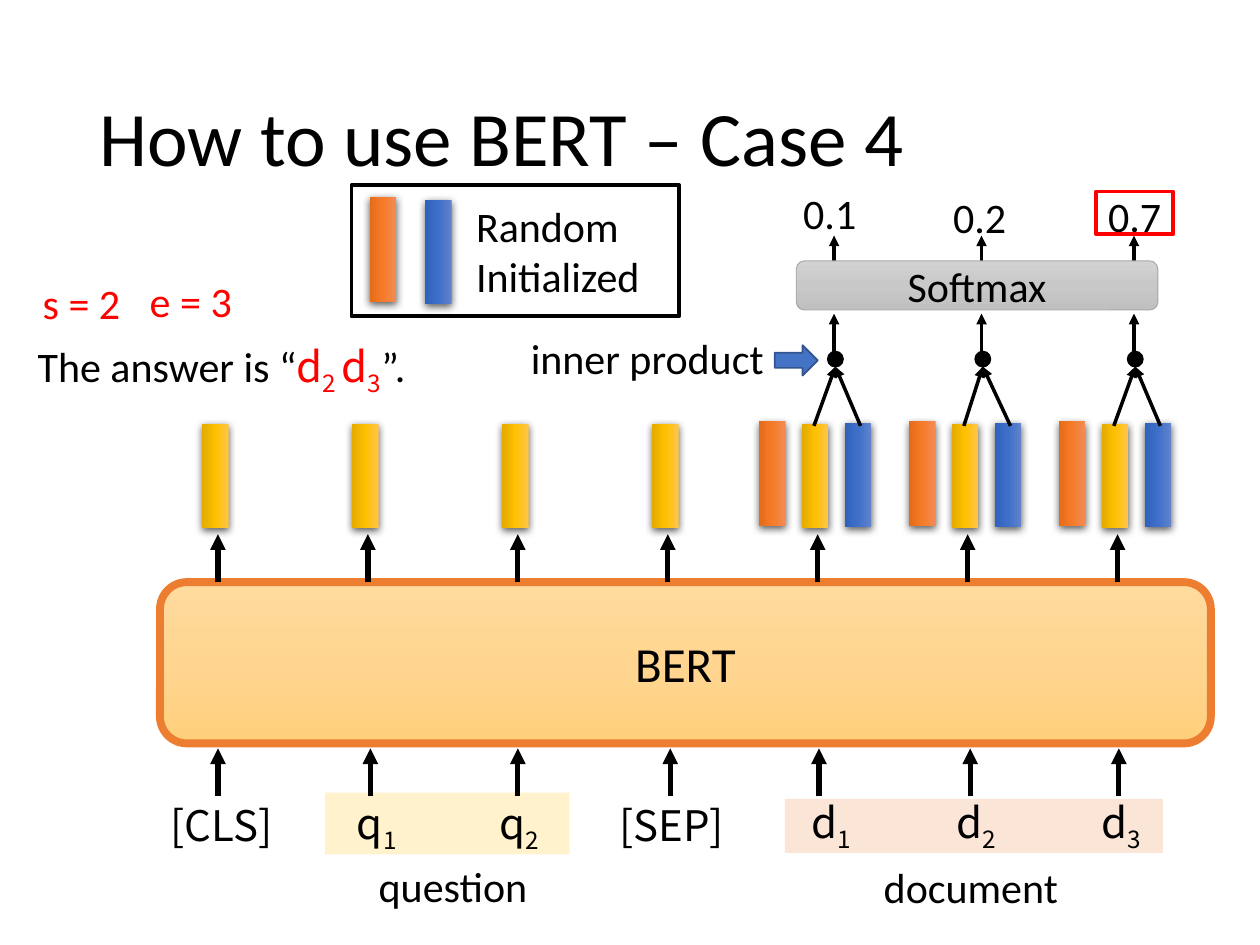
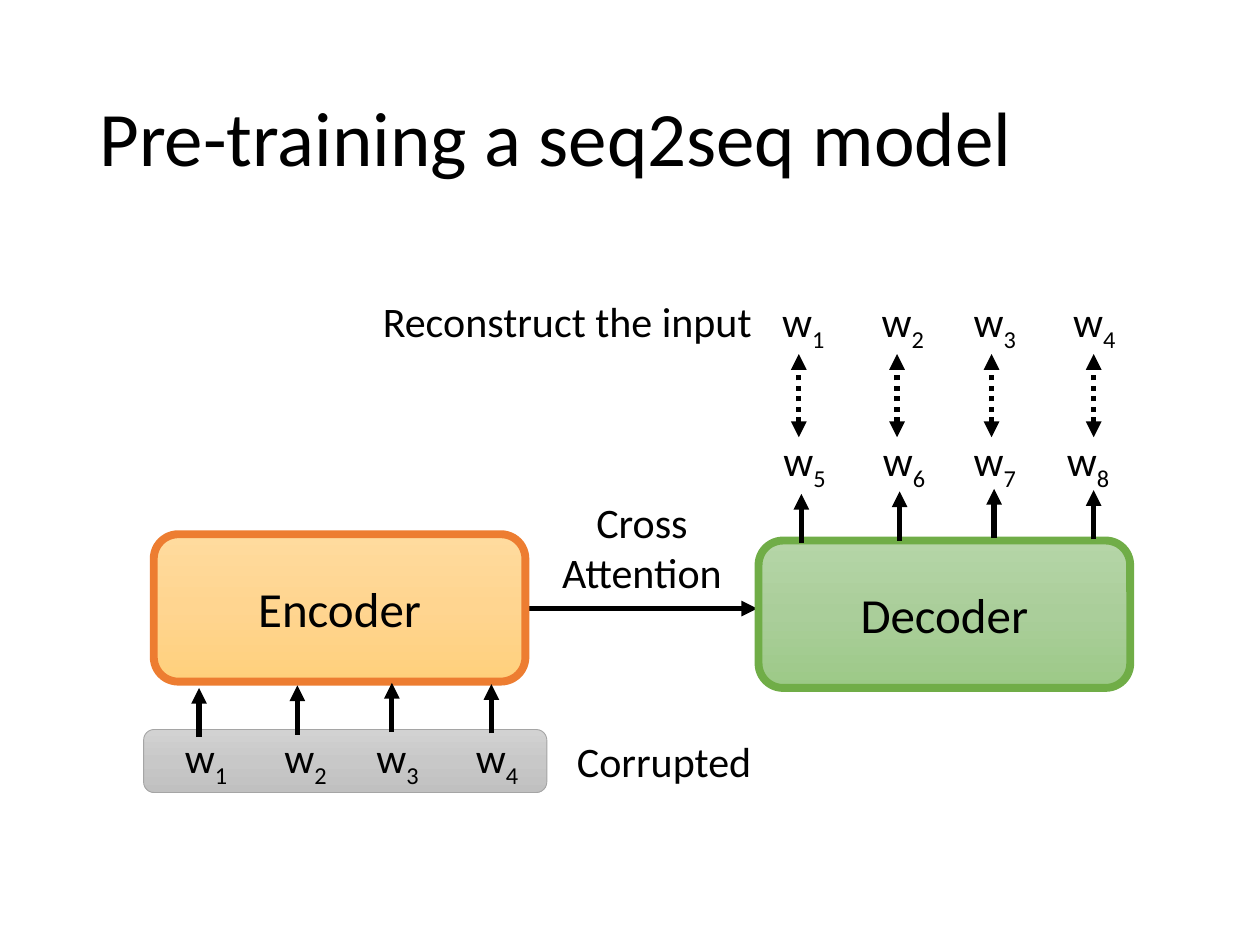
"""Build two slides: answer extraction with BERT, and seq2seq pre-training."""
from dataclasses import dataclass
from itertools import count

from lxml import etree
from pptx import Presentation
from pptx.dml.color import RGBColor
from pptx.enum.shapes import MSO_CONNECTOR, MSO_SHAPE
from pptx.enum.text import MSO_ANCHOR, MSO_AUTO_SIZE, PP_ALIGN
from pptx.oxml.ns import qn
from pptx.util import Inches, Pt

RECT, ROUNDED = MSO_SHAPE.RECTANGLE, MSO_SHAPE.ROUNDED_RECTANGLE
ELLIPSE, RIGHT_ARROW = MSO_SHAPE.OVAL, MSO_SHAPE.RIGHT_ARROW
STRAIGHT = MSO_CONNECTOR.STRAIGHT
LEFT, CENTER, RIGHT = PP_ALIGN.LEFT, PP_ALIGN.CENTER, PP_ALIGN.RIGHT
MIDDLE, GROW = MSO_ANCHOR.MIDDLE, MSO_AUTO_SIZE.SHAPE_TO_FIT_TEXT
CALIBRI, NOTO = "Calibri", "Noto Sans CJK SC"

COLORS = {
    "black": "000000", "red": "FF0000", "question": "FFF2CC", "document": "FBE5D6",
    "orange": "ED7D31", "green": "70AD47", "gray": "A5A5A5",
    "blue": "4472C4", "dark blue": "325491",
}
GRADIENTS = {
    "orange box": ("FFDB9E", "FFD590", "FFD07C"),
    "green box": ("B5D5A7", "AACE9A", "9CC987"),
    "gray box": ("D2D2D2", "C8C8C8", "C0C0C0"),
    "yellow bar": ("FFC64B", "FFC000", "E3AB00"),
    "orange bar": ("F18C57", "F67B28", "E56C19"),
    "blue bar": ("6183CB", "3E70CA", "3062BB"),
}
BAR_LENGTH, BAR_THICKNESS = 0.83, 0.21


@dataclass(frozen=True)
class Span:
    text: str
    font: str = CALIBRI
    color: str = "black"
    subscript: bool = False


@dataclass(frozen=True)
class Label:
    spans: tuple[Span, ...]
    left: float
    top: float
    width: float
    height: float = 0.5
    align: PP_ALIGN = CENTER


@dataclass(frozen=True)
class Block:
    kind: MSO_SHAPE
    left: float
    top: float
    width: float
    height: float
    fill: str = ""
    line: str = ""
    weight: float = 1
    text: str = ""
    size: int = 28


@dataclass(frozen=True)
class Arrow:
    start: tuple[float, float]
    end: tuple[float, float]
    weight: float = 3
    dotted_double: bool = False


@dataclass(frozen=True)
class Token:
    letter: str
    index: str
    left: float
    top: float
    arrow_x: float


@dataclass(frozen=True)
class Candidate:
    column: int
    dot_x: float
    score: str
    score_left: float
    score_top: float


@dataclass(frozen=True)
class Step:
    arrow_x: float
    foot: float
    word_left: float
    guess_left: float
    match_x: float


TOKENS = (
    Token("[CLS]", "", 1.15, 6.3, 1.73), Token("q", "1", 2.38, 6.28, 2.94),
    Token("q", "2", 3.51, 6.28, 4.11), Token("[SEP]", "", 4.72, 6.3, 5.32),
    Token("d", "1", 5.99, 6.27, 6.5), Token("d", "2", 7.14, 6.27, 7.7),
    Token("d", "3", 8.29, 6.27, 8.88),
)
CANDIDATES = (
    Candidate(4, 6.63, "0.1", 6.09, 1.44),
    Candidate(5, 7.8, "0.2", 7.28, 1.47),
    Candidate(6, 9.01, "0.7", 8.51, 1.46),
)
STEPS = (
    Step(1.58, 5.85, 1.06, 5.81, 6.34), Step(2.36, 5.83, 1.85, 6.6, 7.12),
    Step(3.11, 5.81, 2.58, 7.32, 7.87), Step(3.9, 5.82, 3.37, 8.06, 8.68),
)


def rgb(name: str) -> RGBColor:
    """Return the named palette colour."""
    return RGBColor.from_string(COLORS[name])


def set_gradient(shape, name: str) -> None:
    """Fill a shape with a three-stop vertical gradient."""
    shape.fill.gradient()
    shape.fill.gradient_angle = 270
    stops = shape.element.spPr.find(qn("a:gradFill")).find(qn("a:gsLst"))
    for stop in list(stops):
        stops.remove(stop)
    for position, color in zip((0, 50000, 100000), GRADIENTS[name]):
        stop = etree.SubElement(stops, qn("a:gs"), pos=str(position))
        etree.SubElement(stop, qn("a:srgbClr"), val=color)


def write_spans(para, spans: tuple[Span, ...], size: int) -> None:
    """Write spans into a paragraph, with shared formatting on the paragraph."""
    para.font.size = Pt(size)
    same_font = len({part.font for part in spans}) == 1
    same_color = len({part.color for part in spans}) == 1
    if same_font:
        para.font.name = spans[0].font
    if same_color:
        para.font.color.rgb = rgb(spans[0].color)
    for part in spans:
        span = para.add_run()
        span.text = part.text
        if not same_font:
            span.font.name = part.font
        if not same_color:
            span.font.color.rgb = rgb(part.color)
        if part.subscript:
            span.font._element.set("baseline", "-25000")


def add_label(page, label: Label, size: int = 24):
    """Add a wrapping text box and return it."""
    box = page.shapes.add_textbox(*map(Inches, (label.left, label.top, label.width, label.height)))
    frame = box.text_frame
    frame.word_wrap = True
    frame.auto_size = GROW
    para = frame.paragraphs[0]
    para.alignment = label.align
    write_spans(para, label.spans, size)
    return box


def add_block(page, block: Block):
    """Add a flat or gradient shape with optional text and return it."""
    shape = page.shapes.add_shape(
        block.kind, *map(Inches, (block.left, block.top, block.width, block.height)))
    shape.shadow.inherit = False
    if block.fill in GRADIENTS:
        set_gradient(shape, block.fill)
    elif block.fill:
        shape.fill.solid()
        shape.fill.fore_color.rgb = rgb(block.fill)
    else:
        shape.fill.background()
    if block.line:
        shape.line.color.rgb = rgb(block.line)
        shape.line.width = Pt(block.weight)
    else:
        shape.line.fill.background()
    if block.text:
        shape.text_frame.vertical_anchor = MIDDLE
        para = shape.text_frame.paragraphs[0]
        para.alignment = CENTER
        write_spans(para, (Span(block.text),), block.size)
    return shape


def add_bar(page, center_x: float, center_y: float, fill: str) -> None:
    """Add an upright vector bar with a soft shadow."""
    shape = add_block(page, Block(RECT, center_x - BAR_LENGTH / 2, center_y - BAR_THICKNESS / 2,
                                  BAR_LENGTH, BAR_THICKNESS, fill))
    shape.rotation = 90
    effects = shape.element.spPr.find(qn("a:effectLst"))
    shadow = etree.SubElement(effects, qn("a:outerShdw"), blurRad=str(Pt(4.5)),
                              dist=str(Pt(1.5)), dir="5400000", rotWithShape="0")
    color = etree.SubElement(shadow, qn("a:srgbClr"), val=COLORS["black"])
    etree.SubElement(color, qn("a:alpha"), val="63000")


def add_arrow(page, arrow: Arrow) -> None:
    """Add a black arrow, dotted with two heads on request."""
    connector = page.shapes.add_connector(STRAIGHT, *map(Inches, arrow.start + arrow.end))
    connector.line.color.rgb = rgb("black")
    connector.line.width = Pt(arrow.weight)
    properties = connector.element.spPr
    line = properties.find(qn("a:ln"))
    if arrow.dotted_double:
        etree.SubElement(line, qn("a:prstDash"), val="sysDot")
        etree.SubElement(line, qn("a:headEnd"), type="triangle")
    etree.SubElement(line, qn("a:tailEnd"), type="triangle")
    etree.SubElement(properties, qn("a:effectLst"))


def indexed(letter: str, index: str, font: str = CALIBRI, color: str = "black") -> tuple[Span, ...]:
    """Return a letter followed by its subscript, if any."""
    base = (Span(letter, font, color),)
    return base + (Span(index, font, color, True),) if index else base


def add_page(deck, title: str):
    """Add a blank page with the shared title style."""
    page = deck.slides.add_slide(deck.slide_layouts[6])
    box = add_label(page, Label((Span(title),), 0.69, 0.4, 8.62, 1.45, LEFT), 44)
    box.text_frame.auto_size = MSO_AUTO_SIZE.NONE
    box.text_frame.vertical_anchor = MIDDLE
    box.text_frame.paragraphs[0].line_spacing = 0.9
    return page


def add_candidate(page, item: Candidate, column_x: float) -> None:
    """Add the start and end vectors, inner product and score of one document token."""
    add_bar(page, column_x - 0.36, 3.76, "orange bar")
    add_bar(page, column_x + 0.32, 3.77, "blue bar")
    for foot_x in (column_x + 0.34, column_x - 0.03):
        add_arrow(page, Arrow((foot_x, 3.38), (item.dot_x, 2.91), 2))
    add_block(page, Block(ELLIPSE, item.dot_x - 0.06, 2.79, 0.12, 0.12, "black", "black"))
    for foot, head in ((2.8, 2.49), (2.17, 1.87)):
        add_arrow(page, Arrow((item.dot_x - 0.01, foot), (item.dot_x - 0.01, head), 2))
    add_label(page, Label((Span(item.score),), item.score_left, item.score_top, 0.99))


def build_bert(deck) -> None:
    """Build the answer extraction page."""
    page = add_page(deck, "How to use BERT – Case 4")
    add_block(page, Block(RECT, 2.58, 6.29, 1.94, 0.49, "question"))
    add_block(page, Block(RECT, 6.23, 6.34, 3, 0.43, "document"))
    add_block(page, Block(ROUNDED, 1.27, 4.62, 8.34, 1.28, "orange box", "orange", 4.5, "BERT"))
    columns = [1.73 + 1.19 * column for column in range(len(TOKENS))]
    for token, column_x in zip(TOKENS, columns):
        spans = indexed(token.letter, token.index, NOTO)
        add_label(page, Label(spans, token.left, token.top, 1.22))
        add_arrow(page, Arrow((token.arrow_x, 6.32), (token.arrow_x, 5.94)))
        add_arrow(page, Arrow((column_x, 4.62), (column_x, 4.24)))
        add_bar(page, column_x - 0.02, 3.78, "yellow bar")
    for item in CANDIDATES:
        add_candidate(page, item, columns[item.column])
    add_block(page, Block(RIGHT_ARROW, 6.15, 2.74, 0.34, 0.24, "blue", "dark blue"))
    add_block(page, Block(ROUNDED, 6.32, 2.07, 2.87, 0.39, "gray box", "gray", 0.5, "Softmax", 24))
    add_block(page, Block(RECT, 8.7, 1.52, 0.61, 0.34, line="red", weight=2.25))
    add_block(page, Block(RECT, 2.79, 1.47, 2.6, 1.04, line="black", weight=2.25))
    add_bar(page, 3.04, 1.98, "orange bar")
    add_bar(page, 3.48, 2, "blue bar")
    answer = (Span("The answer is “"), *indexed("d", "2 ", NOTO, "red"),
              *indexed("d", "3", NOTO, "red"), Span("”."))
    for label in (
        Label((Span("question"),), 2.64, 6.78, 1.91),
        Label((Span("document"),), 6.75, 6.79, 1.91),
        Label((Span("inner product"),), 3.96, 2.59, 2.2, align=RIGHT),
        Label((Span("Random Initialized"),), 3.68, 1.54, 1.9, 0.91, LEFT),
        Label((Span("s = 2", color="red"),), 0.24, 2.15, 1.03, align=LEFT),
        Label((Span("e = 3", color="red"),), 1.09, 2.14, 1.03, align=LEFT),
        Label(answer, 0.2, 2.65, 3.42, align=LEFT),
    ):
        add_label(page, label)


def build_seq2seq(deck) -> None:
    """Build the encoder and decoder page."""
    page = add_page(deck, "Pre-training a seq2seq model")
    add_block(page, Block(ROUNDED, 1.14, 5.79, 3.2, 0.5, "gray box", "gray", 0.5))
    add_arrow(page, Arrow((3.9, 4.83), (6.01, 4.83)))
    add_block(page, Block(ROUNDED, 6.02, 4.29, 2.95, 1.17, "green box", "green", 4.5, "Decoder"))
    add_block(page, Block(ROUNDED, 1.22, 4.24, 2.95, 1.17, "orange box", "orange", 4.5, "Encoder"))
    for number, step in zip(count(1), STEPS):
        for shift_x, shift_y in ((0, 0), (4.78, -1.54)):
            x, foot = step.arrow_x + shift_x, step.foot + shift_y
            add_arrow(page, Arrow((x, foot), (x, foot - 0.39)))
        add_arrow(page, Arrow((step.match_x, 3.47), (step.match_x, 2.81), dotted_double=True))
        word, guess = indexed("w", str(number)), indexed("w", str(number + len(STEPS)))
        add_label(page, Label(word, step.word_left, 5.76, 1.15))
        add_label(page, Label(word, step.word_left + 4.74, 2.3, 1.15))
        add_label(page, Label(guess, step.guess_left, 3.4, 1.15))
    add_label(page, Label((Span("Cross Attention"),), 4.28, 3.89, 1.63, 0.91))
    add_label(page, Label((Span("Reconstruct the input"),), 2.94, 2.3, 4.87, align=LEFT))
    add_label(page, Label((Span("Corrupted"),), 4.48, 5.79, 1.61, align=LEFT))


def main() -> None:
    """Build and save the deck."""
    deck = Presentation()
    deck.slide_width, deck.slide_height = Inches(10), Inches(7.5)
    build_bert(deck)
    build_seq2seq(deck)
    deck.save("out.pptx")


if __name__ == "__main__":
    main()
